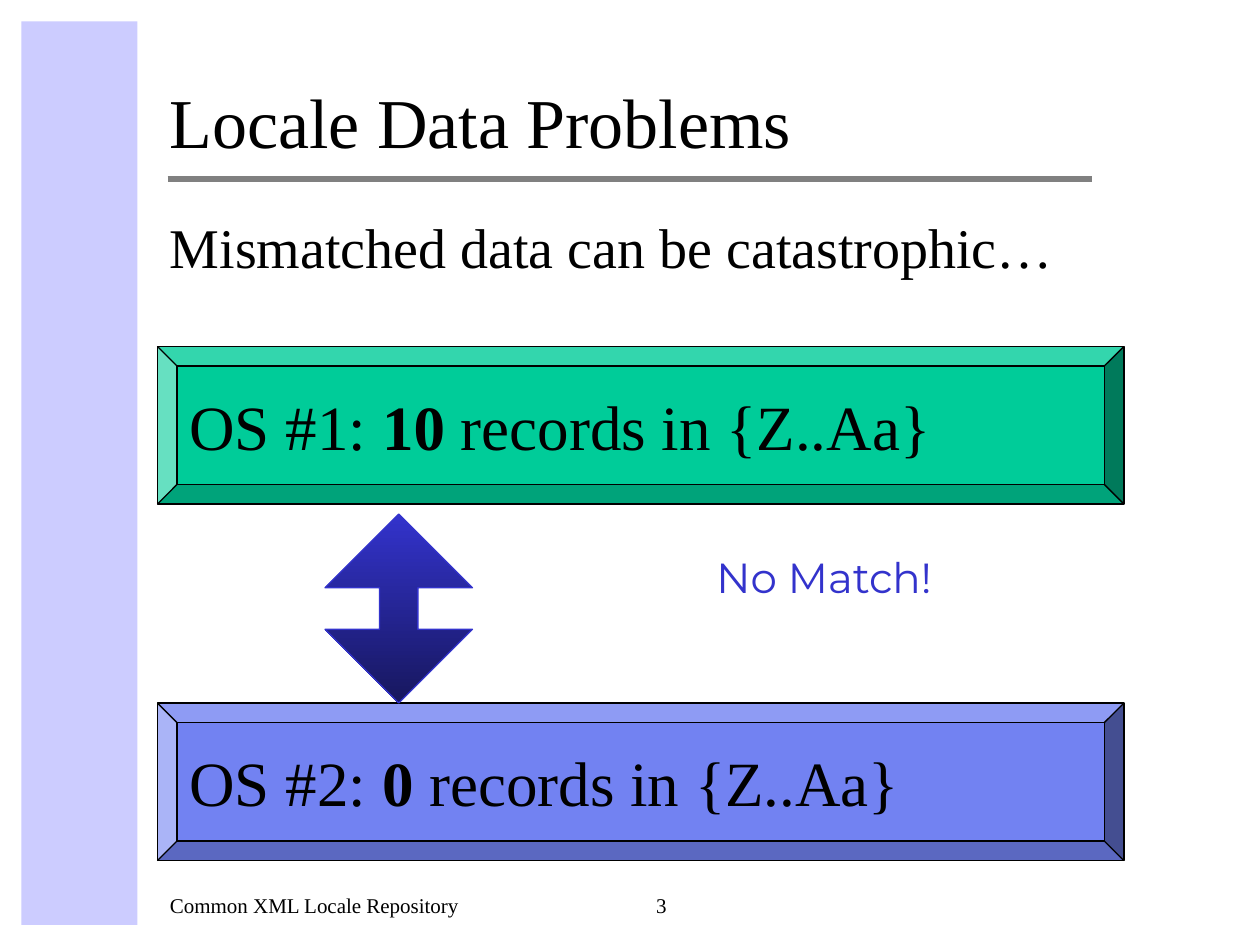
from dataclasses import dataclass

from pptx import Presentation
from pptx.dml.color import RGBColor
from pptx.enum.shapes import MSO_CONNECTOR, MSO_SHAPE
from pptx.enum.text import MSO_ANCHOR, PP_ALIGN
from pptx.oxml.ns import qn
from pptx.shapes.autoshape import Shape
from pptx.slide import Slide
from pptx.text.text import TextFrame
from pptx.util import Inches, Pt

BLACK = RGBColor(0x00, 0x00, 0x00)
LAVENDER = RGBColor(0xCC, 0xCC, 0xFF)
GREY = RGBColor(0x80, 0x80, 0x80)
GREEN = RGBColor(0x00, 0xCC, 0x99)
PERIWINKLE = RGBColor(0x72, 0x82, 0xF2)
BLUE = RGBColor(0x33, 0x33, 0xCC)
NAVY = RGBColor(0x17, 0x17, 0x5E)

SERIF = "Times New Roman"
SANS = "Montserrat"
LEFT_EDGE = 1.25

Box = tuple[float, float, float, float]


@dataclass(frozen=True)
class Label:
    text: str
    box: Box
    size: int
    anchor: MSO_ANCHOR = MSO_ANCHOR.TOP
    align: PP_ALIGN = PP_ALIGN.LEFT
    font: str = SERIF
    color: RGBColor = BLACK


@dataclass(frozen=True)
class SystemResult:
    name: str
    count: str
    top: float
    color: RGBColor


LABELS = [
    Label("Locale Data Problems", (LEFT_EDGE, 0.17, 7.42, 1.17), 40, MSO_ANCHOR.BOTTOM),
    Label("Mismatched data can be catastrophic…", (LEFT_EDGE, 1.64, 8, 5.08), 32),
    Label("No Match!", (4, 4.33, 5.08, 0.92), 24, align=PP_ALIGN.CENTER,
          font=SANS, color=BLUE),
    Label("Common XML Locale Repository", (LEFT_EDGE, 6.83, 3.67, 0.5), 12,
          MSO_ANCHOR.BOTTOM),
    Label("3", (5, 6.83, 0.5, 0.5), 12, MSO_ANCHOR.BOTTOM, PP_ALIGN.CENTER),
]

SYSTEMS = [
    SystemResult("OS #1: ", "10", 2.75, GREEN),
    SystemResult("OS #2: ", "0", 5.58, PERIWINKLE),
]


def add_run(frame: TextFrame, text: str, size: int, font: str = SERIF,
            color: RGBColor = BLACK, bold: bool = False) -> None:
    run = frame.paragraphs[0].add_run()
    run.text = text
    for attribute, value in {"name": font, "size": Pt(size), "bold": bold}.items():
        setattr(run.font, attribute, value)
    run.font.color.rgb = color


def set_frame(frame: TextFrame, anchor: MSO_ANCHOR, align: PP_ALIGN) -> None:
    for attribute, value in {"word_wrap": True, "vertical_anchor": anchor}.items():
        setattr(frame, attribute, value)
    frame.paragraphs[0].alignment = align


def add_label(slide: Slide, label: Label) -> None:
    frame = slide.shapes.add_textbox(*map(Inches, label.box)).text_frame
    set_frame(frame, label.anchor, label.align)
    add_run(frame, label.text, label.size, label.font, label.color)


def add_figure(slide: Slide, preset: MSO_SHAPE, box: Box) -> Shape:
    figure = slide.shapes.add_shape(preset, *map(Inches, box))
    figure.shadow.inherit = False
    return figure


def set_outline(figure: Shape, color: RGBColor) -> None:
    figure.line.color.rgb = color
    figure.line.width = Pt(0.75)


def add_side_band(slide: Slide) -> None:
    band = add_figure(slide, MSO_SHAPE.RECTANGLE, (0.17, 0.17, 0.92, 7.17))
    band.fill.solid()
    band.fill.fore_color.rgb = LAVENDER
    band.line.fill.background()


def add_title_rule(slide: Slide) -> None:
    rule = slide.shapes.add_connector(
        MSO_CONNECTOR.STRAIGHT, *map(Inches, (1.33, 1.42, 8.67, 1.42)))
    rule.line.color.rgb = GREY
    rule.line.width = Pt(3)
    properties = rule._element.spPr
    properties.append(properties.makeelement(qn("a:effectLst"), {}))


def add_system_panel(slide: Slide, system: SystemResult) -> None:
    panel = add_figure(slide, MSO_SHAPE.BEVEL, (LEFT_EDGE, system.top, 7.67, 1.25))
    panel.adjustments[0] = 0.125
    panel.fill.solid()
    panel.fill.fore_color.rgb = system.color
    set_outline(panel, BLACK)
    set_frame(panel.text_frame, MSO_ANCHOR.MIDDLE, PP_ALIGN.LEFT)
    add_run(panel.text_frame, system.name, 36)
    add_run(panel.text_frame, system.count, 36, bold=True)
    add_run(panel.text_frame, " records in {Z..Aa}", 36)


def add_mismatch_arrow(slide: Slide) -> None:
    arrow = add_figure(slide, MSO_SHAPE.UP_DOWN_ARROW, (2.58, 4.08, 1.17, 1.5))
    arrow.adjustments[0] = 0.5
    arrow.adjustments[1] = 0.26
    arrow.fill.gradient()
    arrow.fill.gradient_angle = 270
    for stop, color in zip(arrow.fill.gradient_stops, (BLUE, NAVY)):
        stop.color.rgb = color
    set_outline(arrow, BLUE)


def main() -> None:
    deck = Presentation()
    deck.slide_width, deck.slide_height = Inches(10), Inches(7.5)
    slide = deck.slides.add_slide(deck.slide_layouts[6])

    # Page decoration
    add_side_band(slide)
    add_title_rule(slide)

    # Record counts of the two systems and the arrow between them
    for system in SYSTEMS:
        add_system_panel(slide, system)
    add_mismatch_arrow(slide)

    # Title, statement, verdict and footer
    for label in LABELS:
        add_label(slide, label)

    deck.save("out.pptx")


if __name__ == "__main__":
    main()
